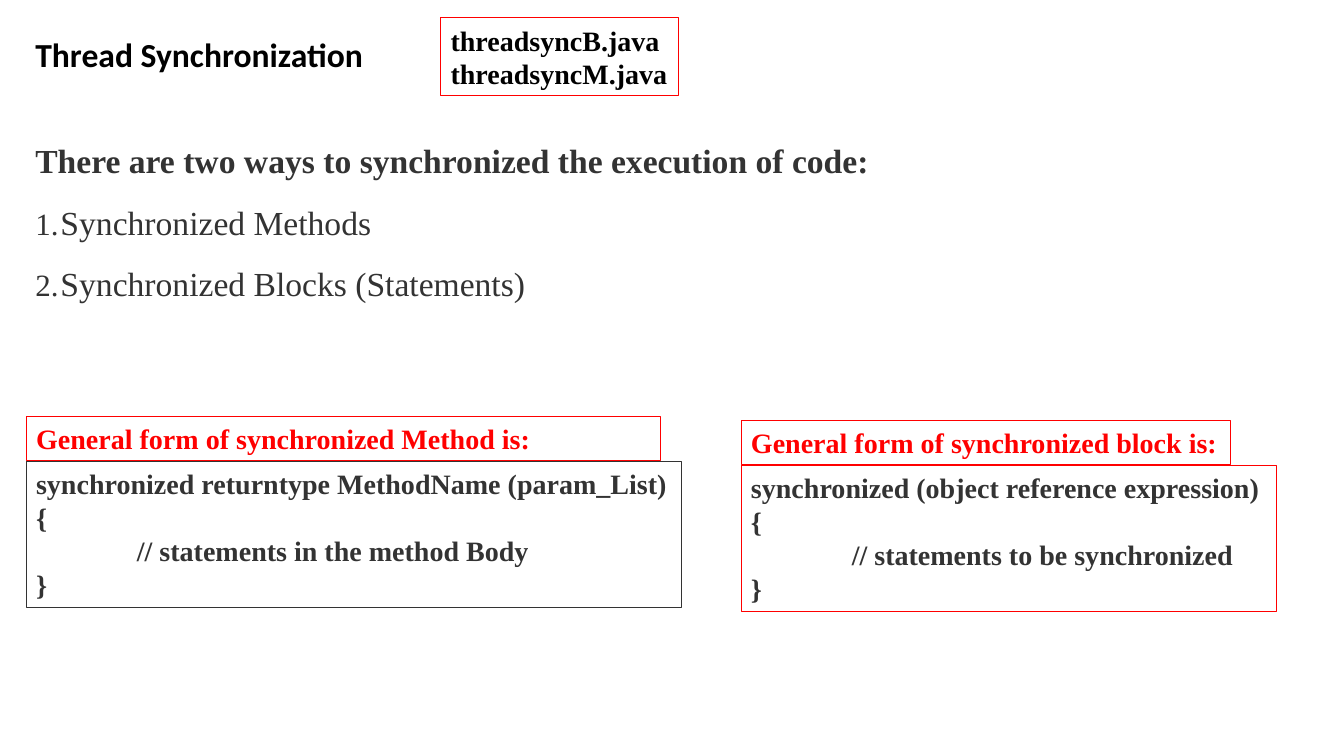
from lxml.etree import SubElement
from pptx import Presentation
from pptx.dml.color import RGBColor
from pptx.enum.shapes import MSO_SHAPE as Preset
from pptx.enum.text import MSO_ANCHOR as Anchor, PP_ALIGN as Align
from pptx.oxml.ns import qn
from pptx.util import Inches, Pt

RED, DARK, BLACK = "FF0000", "333333", "000000"
SERIF, SANS = "Times New Roman", "Calibri"


def color(value):
    return RGBColor.from_string(value)


class SlideBuilder:
    """Holds the text style and the current slide, and adds its elements."""

    def __init__(self, page):
        self.page = page
        self.style = {"name": SERIF, "size": Pt(20), "bold": True}

    def frame(self, shape, left=0.1, top=0.0, anchor=Anchor.TOP):
        frame = shape.text_frame
        layout = {"word_wrap": True, "vertical_anchor": anchor,
                  "margin_left": Inches(left), "margin_top": Inches(top),
                  "margin_right": 0, "margin_bottom": 0}
        for key, value in layout.items():
            setattr(frame, key, value)
        return frame

    def line(self, para, text, ink, before=0.0, **changes):
        para.alignment = Align.LEFT
        para.space_before = Pt(before)
        span = para.add_run()
        span.text = text
        for key, value in {**self.style, **changes}.items():
            setattr(span.font, key, value)
        span.font.color.rgb = color(ink)

    def indent(self, para, left, hanging=0.0):
        settings = para._p.get_or_add_pPr()
        settings.set("marL", str(Inches(left)))
        settings.set("indent", str(-Inches(hanging)))
        return settings

    def number(self, para):
        settings = self.indent(para, 0.25, 0.25)
        SubElement(settings, qn("a:buSzPct"), val="92000")
        SubElement(settings, qn("a:buFont"), typeface=SERIF)
        SubElement(settings, qn("a:buAutoNum"), type="arabicPeriod")

    def text(self, place, top=0.0, anchor=Anchor.TOP):
        box = self.page.shapes.add_textbox(*map(Inches, place))
        return self.frame(box, 0.01, top, anchor)

    def panel(self, place, lines, ink, edge=RED, top=0.05):
        box = self.page.shapes.add_shape(Preset.RECTANGLE, *map(Inches, place))
        box.shadow.inherit = False
        box.fill.background()
        box.line.color.rgb = color(edge)
        box.line.width = Pt(0.72)
        frame = self.frame(box, top=top)
        for index, line in enumerate(lines):
            para = frame.add_paragraph() if index else frame.paragraphs[0]
            self.line(para, line, ink)
            if line.startswith("//"):
                self.indent(para, 1)

    def syntax(self, left, top, widths, heading, signature, comment, edge):
        self.panel((left, top, widths[0], 0.44), [heading], RED)
        self.panel((left, top + 0.45, widths[1], 1.45),
                   [signature, "{", comment, "}"], DARK, edge)


def main():
    deck = Presentation()
    deck.slide_width, deck.slide_height = Inches(13.33), Inches(7.5)
    builder = SlideBuilder(deck.slides.add_slide(deck.slide_layouts[6]))

    title = builder.text((0.34, 0.32, 3.79, 0.42), 0.01, Anchor.MIDDLE)
    builder.line(title.paragraphs[0], "Thread Synchronization", BLACK,
                 name=SANS, size=Pt(24))
    builder.panel((4.37, 0.17, 2.36, 0.78),
                  ["threadsyncB.java threadsyncM.java"], BLACK, top=0.06)

    ways = builder.text((0.34, 1.18, 8.31, 1.82), 0.21)
    builder.line(ways.paragraphs[0],
                 "There are two ways to synchronized the execution of code:",
                 DARK, size=Pt(24))
    for way in ("Synchronized Methods", "Synchronized Blocks (Statements)"):
        para = ways.add_paragraph()
        builder.line(para, way, DARK, 15, size=Pt(24), bold=False)
        builder.number(para)

    builder.syntax(0.26, 4.13, (6.29, 6.5),
                   "General form of synchronized Method is:",
                   "synchronized returntype MethodName (param_List)",
                   "// statements in the method Body", DARK)
    builder.syntax(7.35, 4.17, (4.85, 5.31),
                   "General form of synchronized block is:",
                   "synchronized (object reference expression)",
                   "// statements to be synchronized", RED)
    deck.save("out.pptx")


if __name__ == "__main__":
    main()
